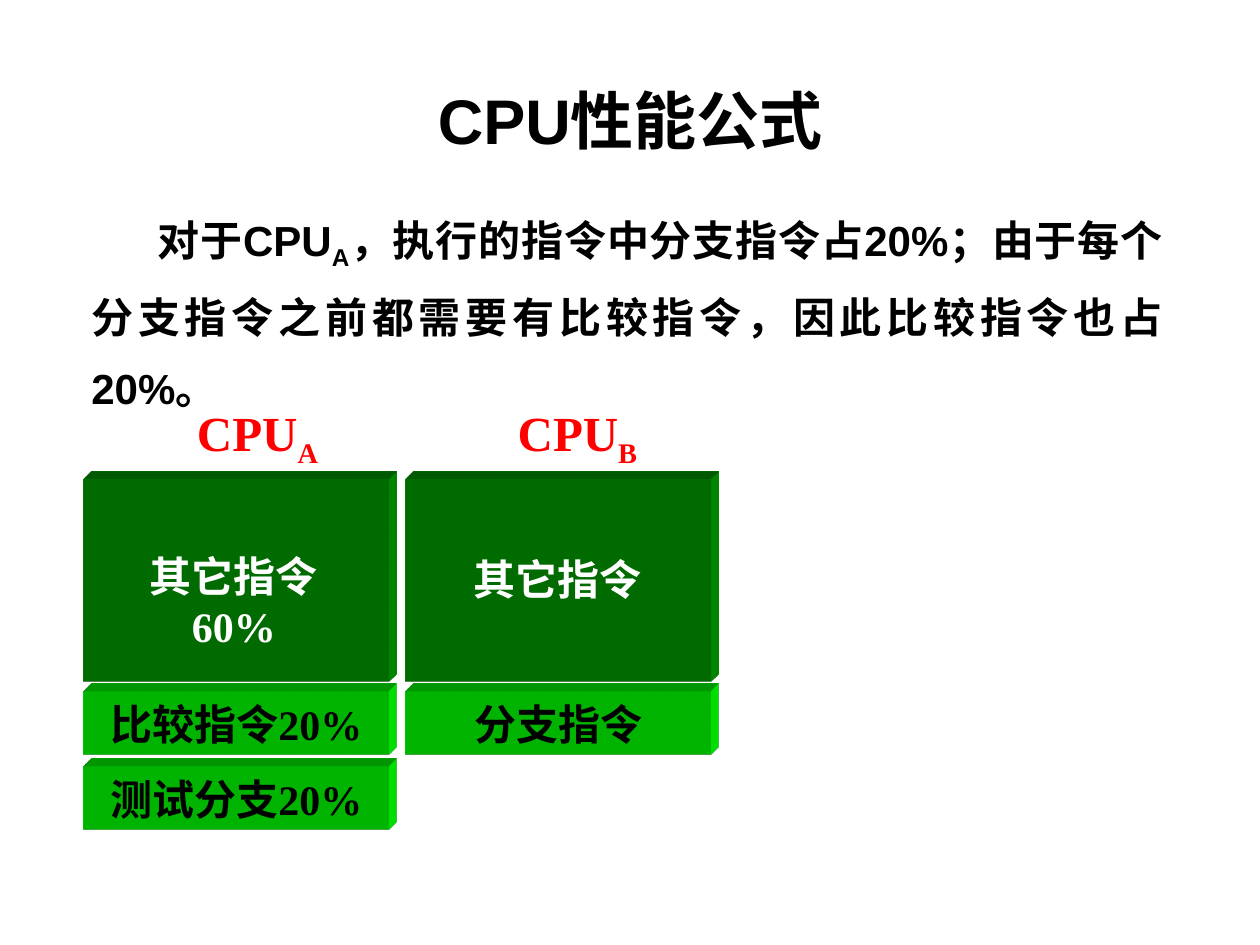
from lxml import etree
from pptx import Presentation
from pptx.dml.color import RGBColor
from pptx.enum.shapes import MSO_SHAPE
from pptx.enum.text import MSO_ANCHOR, MSO_AUTO_SIZE, PP_ALIGN
from pptx.oxml import parse_xml
from pptx.oxml.ns import nsdecls
from pptx.util import Emu, Pt

PIXEL = 914400 // 126
BLACK = RGBColor(0x00, 0x00, 0x00)
WHITE = RGBColor(0xFF, 0xFF, 0xFF)
RED = RGBColor(0xFF, 0x00, 0x00)
GREEN = RGBColor(0x00, 0xFF, 0x00)
DARK_GREEN = RGBColor(0x00, 0x99, 0x00)

COLUMN_A, COLUMN_B = 84, 406
BLOCK_WIDTH = 305
OTHER_TOP, OTHER_HEIGHT = 480, 202
ROW_TOP, ROW_STEP, ROW_HEIGHT = 692, 75, 63
EXTRUSION = 163500


def px(*lengths):
    return [Emu(length * PIXEL) for length in lengths]


def write_text(shape, text, font="Times New Roman", size=24, color=BLACK,
               align=PP_ALIGN.CENTER, anchor=MSO_ANCHOR.TOP,
               line_spacing=None, first_indent=0):
    """Write one bold paragraph; text between underscores is subscript."""
    frame = shape.text_frame
    frame.word_wrap = True
    frame.vertical_anchor = anchor
    paragraph = frame.paragraphs[0]
    paragraph.alignment = align
    paragraph.space_before = Pt(0)
    if line_spacing:
        paragraph.line_spacing = line_spacing
    if first_indent:
        properties = paragraph._p.get_or_add_pPr()
        properties.set("marL", "0")
        properties.set("indent", str(first_indent * PIXEL))
    for index, part in enumerate(text.split("_")):
        if not part:
            continue
        run = paragraph.add_run()
        run.text = part
        run.font.name = font
        run.font.size = Pt(size)
        run.font.bold = True
        run.font.color.rgb = color
        if index % 2:
            run.font._element.set("baseline", "-25000")


def add_label(shapes, box, text, **text_format):
    label = shapes.add_textbox(*px(*box))
    write_text(label, text, **text_format)
    label.text_frame.auto_size = MSO_AUTO_SIZE.SHAPE_TO_FIT_TEXT


def extrude(shape, color):
    """Give the block an oblique depth towards the top right."""
    scene = parse_xml(
        f'<a:scene3d {nsdecls("a")}><a:camera prst="legacyObliqueTopRight"/>'
        '<a:lightRig rig="legacyFlat3" dir="b"/></a:scene3d>')
    solid = parse_xml(
        f'<a:sp3d {nsdecls("a")} extrusionH="{EXTRUSION}" prstMaterial="legacyMatte">'
        '<a:bevelT w="13500" h="13500" prst="angle"/>'
        '<a:bevelB w="13500" h="13500" prst="angle"/>'
        f'<a:extrusionClr><a:srgbClr val="{color}"/></a:extrusionClr></a:sp3d>')
    properties = shape._element.spPr
    etree.ElementBase.append(properties, scene)
    etree.ElementBase.append(properties, solid)


def add_block(shapes, left, top, height, color, text=""):
    block = shapes.add_shape(MSO_SHAPE.RECTANGLE, *px(left, top, BLOCK_WIDTH, height))
    block.shadow.inherit = False
    block.fill.solid()
    block.fill.fore_color.rgb = color
    block.line.fill.background()
    extrude(block, color)
    if text:
        write_text(block, text, anchor=MSO_ANCHOR.MIDDLE)


def main():
    presentation = Presentation()
    presentation.slide_width, presentation.slide_height = px(1260, 945)
    slide = presentation.slides.add_slide(presentation.slide_layouts[5])
    shapes = slide.shapes

    # Title
    title = shapes.title
    title.left, title.top, title.width, title.height = px(95, 40, 1071, 158)
    write_text(title, "CPU性能公式", font="Arial", size=36, anchor=MSO_ANCHOR.MIDDLE)

    # Explanation
    add_label(shapes, (79, 185, 1096, 155),
              "对于CPU_A_，执行的指令中分支指令占20%；由于每个分支指令之前都需要有比较指令，"
              "因此比较指令也占20%。",
              font="Arial", align=PP_ALIGN.JUSTIFY, line_spacing=1.4, first_indent=66)

    # Column headings
    add_label(shapes, (84, 396, 347, 72), "CPU_A_", size=28, color=RED)
    add_label(shapes, (445, 396, 265, 72), "CPU_B_", size=28, color=RED)

    # Compare and branch instructions
    columns = {COLUMN_A: ["比较指令20%", "测试分支20%"], COLUMN_B: ["分支指令"]}
    for left, names in columns.items():
        for row, name in enumerate(names):
            add_block(shapes, left, ROW_TOP + row * ROW_STEP, ROW_HEIGHT, GREEN, name)

    # Other instructions
    group = shapes.add_group_shape()
    add_block(group.shapes, COLUMN_B, OTHER_TOP, OTHER_HEIGHT, DARK_GREEN)
    add_label(group.shapes, (442, 547, 231, 63), "其它指令", color=WHITE)
    add_block(shapes, COLUMN_A, OTHER_TOP, OTHER_HEIGHT, DARK_GREEN)
    add_label(shapes, (103, 544, 262, 113), "其它指令60%", color=WHITE)

    presentation.save("out.pptx")


if __name__ == "__main__":
    main()
